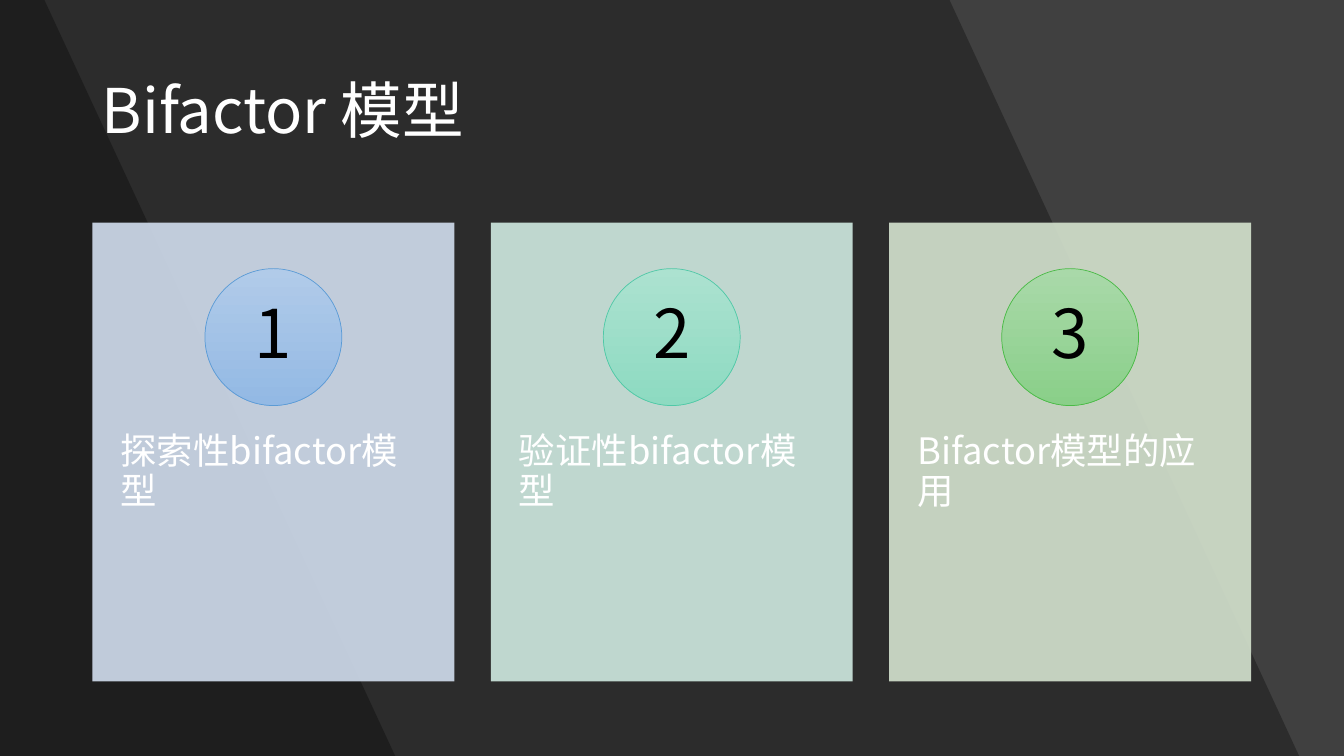
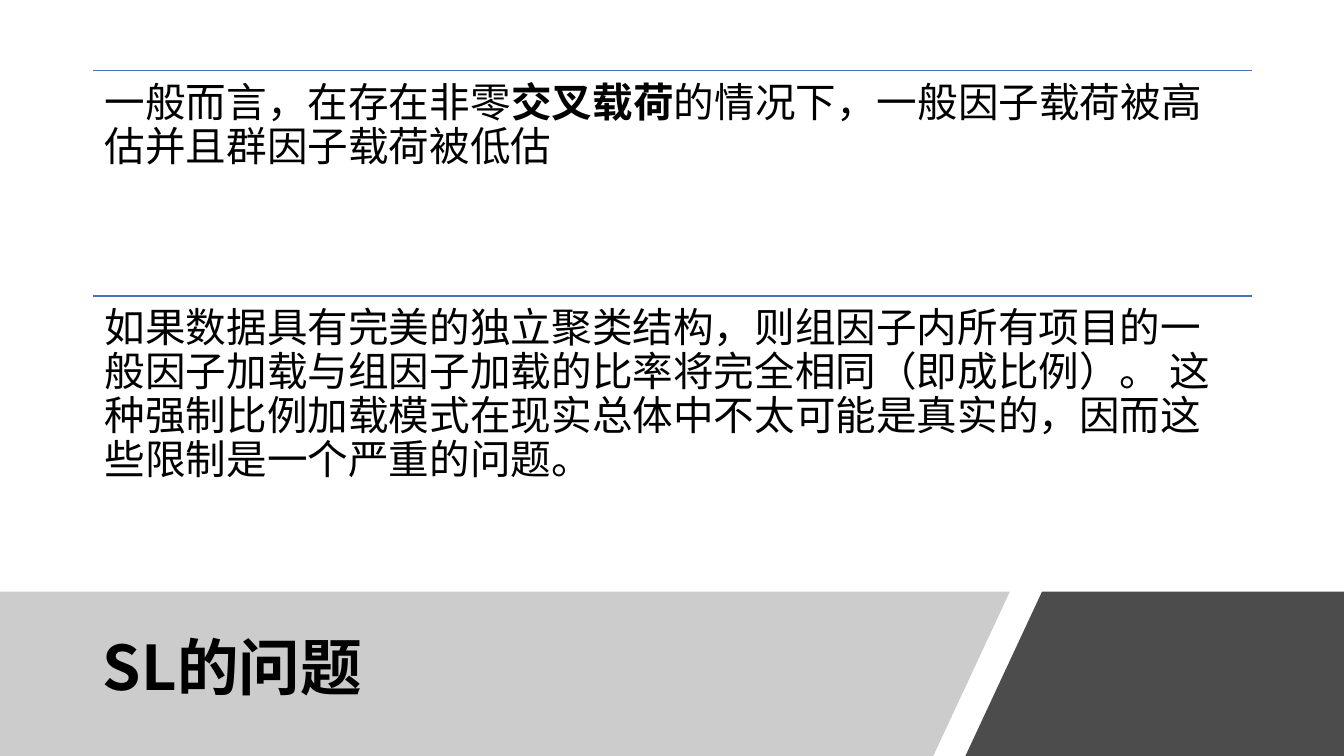
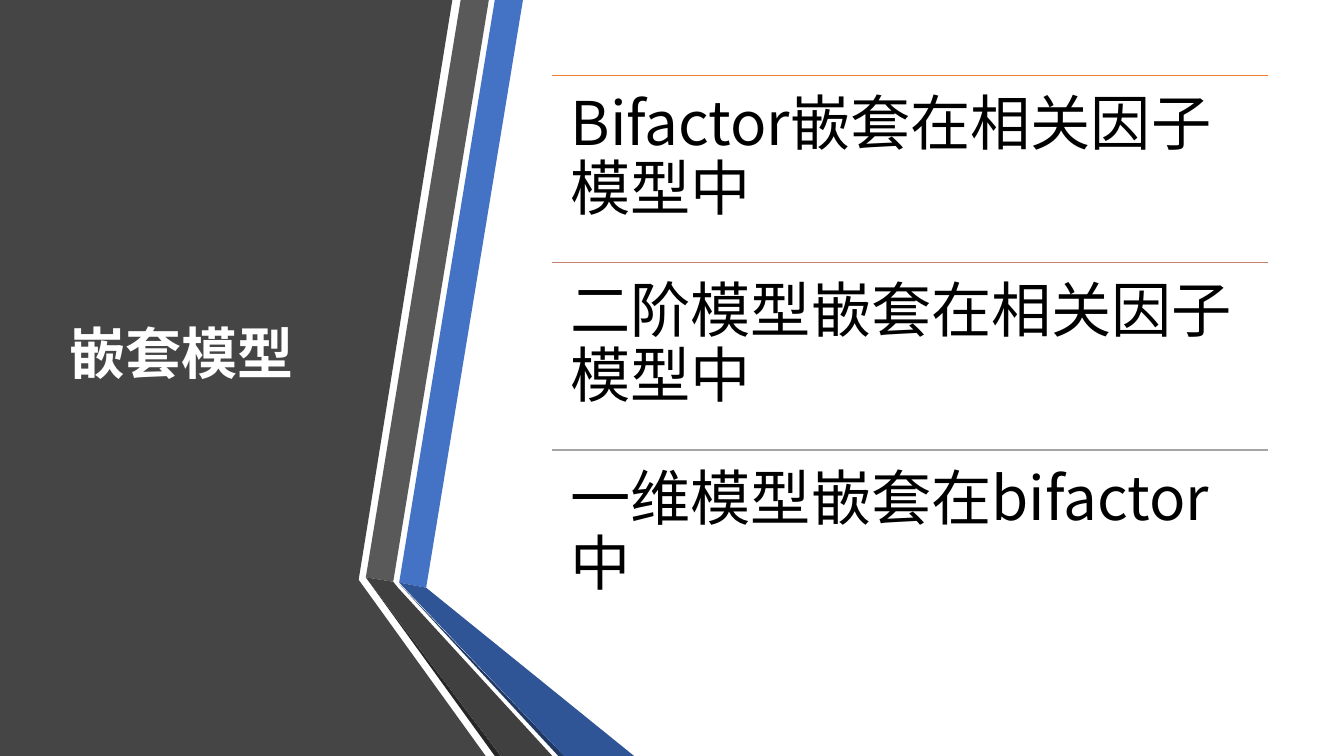
from lxml import etree
from pptx import Presentation
from pptx.dml.color import RGBColor
from pptx.enum import lang, shapes, text
from pptx.oxml import ns
from pptx.util import Cm, Pt

# Shared look
FONT = "Noto Sans CJK SC"
WIDTH, HEIGHT = 33.87, 19.05
BLACK, WHITE, BLUE = "000000", "FFFFFF", "4472C4"
LEFT, MIDDLE = text.PP_ALIGN.LEFT, text.MSO_ANCHOR.MIDDLE


def rgb(value):
    return RGBColor.from_string(value)


def fill_solid(shape, color, opacity=100):
    shape.fill.solid()
    shape.fill.fore_color.rgb = rgb(color)
    if opacity < 100:
        clr = shape.fill._xPr.find(".//" + ns.qn("a:srgbClr"))
        etree.SubElement(clr, ns.qn("a:alpha"), val=str(opacity * 1000))


def fill_gradient(shape, top, bottom):
    shape.fill.gradient()
    shape.fill.gradient_angle = 270
    for stop, color in zip(shape.fill.gradient_stops, (top, bottom)):
        stop.color.rgb = rgb(color)


def write(tf, runs, size, color, align=LEFT):
    """Fill a text frame with one paragraph; runs are (text, bold) pairs."""
    tf.word_wrap = True
    tf.auto_size = text.MSO_AUTO_SIZE.NONE
    p = tf.paragraphs[0]
    p.alignment, p.line_spacing = align, 0.9
    for words, bold in runs:
        r = p.add_run()
        r.text = words
        r.font.name, r.font.size, r.font.bold = FONT, Pt(size), bold
        r.font.color.rgb = rgb(color)
        r.font.language_id = lang.MSO_LANGUAGE_ID.SIMPLIFIED_CHINESE
        latin = r.font._element.find(ns.qn("a:latin"))
        latin.addnext(latin.makeelement(ns.qn("a:ea"), {"typeface": FONT}))


def add_slide(prs, background):
    s = prs.slides.add_slide(prs.slide_layouts[5])
    s.background.fill.solid()
    s.background.fill.fore_color.rgb = rgb(background)
    return s


def set_title(s, words, box, size, color, bold=False):
    title = s.shapes.title
    title.left, title.top, title.width, title.height = map(Cm, box)
    title.text_frame.vertical_anchor = MIDDLE
    write(title.text_frame, [(words, bold)], size, color)
    s.shapes._spTree.append(title._element)  # in front of the panels


def add_polygon(s, points, color, opacity=100):
    start, *rest = [(Cm(x), Cm(y)) for x, y in points]
    builder = s.shapes.build_freeform(*start)
    builder.add_line_segments(rest, close=True)
    sp = builder.convert_to_shape()
    sp.shadow.inherit = False
    fill_solid(sp, color, opacity)
    sp.line.fill.background()


def add_shape(s, kind, *box):
    sp = s.shapes.add_shape(kind, *map(Cm, box))
    sp.shadow.inherit = False
    return sp


def add_text(s, box, runs, size, color, inset_x, inset_y):
    tf = s.shapes.add_textbox(*map(Cm, box)).text_frame
    tf.margin_left = tf.margin_right = Cm(inset_x)
    tf.margin_top = tf.margin_bottom = Cm(inset_y)
    write(tf, runs, size, color)


def add_rule(s, x, y, width, color):
    line = s.shapes.add_connector(
        shapes.MSO_CONNECTOR.STRAIGHT, Cm(x), Cm(y), Cm(x + width), Cm(y))
    line.line.color.rgb = rgb(color)
    line.line.width = Pt(1)
    etree.SubElement(line._element.spPr, ns.qn("a:effectLst"))


def add_ruled_list(s, x, top, width, pitch, items, size, inset):
    """Stack equal rows, each a rule with text under it."""
    for i, (color, runs) in enumerate(items):
        y = top + i * pitch
        add_rule(s, x, y, width, color)
        add_text(s, (x, y, width, pitch), runs, size, BLACK, inset, inset)


def add_card(s, x, number, words, card, top, bottom, outline):
    width, disc = 9.12, 3.45
    panel = add_shape(s, shapes.MSO_SHAPE.RECTANGLE, x, 5.61, width, 11.56)
    fill_solid(panel, card, 90)
    panel.line.fill.background()
    add_text(s, (x, 10.01, width, 6.93), [(words, False)], 26, WHITE, 0.71, 0.91)
    badge = add_shape(s, shapes.MSO_SHAPE.OVAL,
                      x + (width - disc) / 2, 6.77, disc, disc)
    fill_gradient(badge, top, bottom)
    badge.line.color.rgb = rgb(outline)
    badge.line.width = Pt(0.5)
    badge.text_frame.vertical_anchor = MIDDLE
    write(badge.text_frame, [(str(number), False)], 48, BLACK,
          text.PP_ALIGN.CENTER)


def bifactor_slide(prs):
    s = add_slide(prs, "404040")
    # Slanted shades, darker towards the left
    for top_x, bottom_x in ((23.93, 32.74), (1.12, 9.96)):
        add_polygon(s, [(0, 0), (top_x, 0), (bottom_x, HEIGHT), (0, HEIGHT)],
                    BLACK, 30)
    set_title(s, "Bifactor 模型", (2.31, 1.02, 29.24, 3.68), 44, WHITE)
    # Numbered cards
    cards = [
        ("探索性bifactor模型", "D2DEEF", "B1CBE9", "93B9E4", "5B9BD5"),
        ("验证性bifactor模型", "D0EAE1", "ACE2D0", "8DDAC1", "50C8A7"),
        ("Bifactor模型的应用", "D5E3CF", "A9D9A9", "8ACF89", "4ABA46"),
    ]
    for i, card in enumerate(cards):
        add_card(s, 2.33 + i * 10.04, i + 1, *card)


def problem_slide(prs):
    s = add_slide(prs, WHITE)
    # Bottom band in two parts
    band = 14.91
    add_polygon(s, [(0, band), (25.45, band), (23.52, HEIGHT), (0, HEIGHT)],
                "808080", 40)
    add_polygon(s, [(26.26, band), (WIDTH, band), (WIDTH, HEIGHT),
                    (24.33, HEIGHT)], BLACK, 70)
    set_title(s, "SL的问题", (2.34, 15.37, 21.44, 3.05), 44, BLACK, True)
    items = [
        (BLUE, [("一般而言，在存在非零", False), ("交叉载荷", True),
                ("的情况下，一般因子载荷被高估并且群因子载荷被低估", False)]),
        (BLUE, [("如果数据具有完美的独立聚类结构，则组因子内所有项目的一般因子"
                 "加载与组因子加载的比率将完全相同（即成比例）。 这种强制比例加载"
                 "模式在现实总体中不太可能是真实的，因而这些限制是一个严重的问题。",
                 False)]),
    ]
    add_ruled_list(s, 2.34, 1.78, 29.21, 5.68, items, 29, 0.3)


def nested_slide(prs):
    s = add_slide(prs, WHITE)
    # Title panel and the folded ribbons beside it
    panels = [
        ("454545", [(0, 0), (11.4, 0), (9.04, 14.61), (12.24, HEIGHT),
                    (0, HEIGHT)]),
        (BLUE, [(10.06, 14.68), (10.74, 14.81), (13.18, 0), (12.47, 0)]),
        ("595959", [(12.32, 0), (11.61, 0), (9.22, 14.55), (9.91, 14.66)]),
        ("262626", [(9.22, 14.55), (12.47, HEIGHT), (12.62, HEIGHT)]),
        ("203864", [(10.06, 14.71), (14.07, HEIGHT), (14.22, HEIGHT)]),
        ("2F5597", [(10.06, 14.68), (14.22, HEIGHT), (15.98, HEIGHT),
                    (10.74, 14.81)]),
        ("404040", [(9.22, 14.55), (12.62, HEIGHT), (13.92, HEIGHT),
                    (10.03, 14.81), (9.91, 14.66)]),
    ]
    for color, points in panels:
        add_polygon(s, points, color)
    set_title(s, "嵌套模型", (1.5, 1.9, 7.72, 14.17), 40, WHITE, True)
    items = [
        ("ED7D31", [("Bifactor嵌套在相关因子模型中", False)]),
        ("C48170", [("二阶模型嵌套在相关因子模型中", False)]),
        ("A5A5A5", [("一维模型嵌套在bifactor中", False)]),
    ]
    add_ruled_list(s, 13.92, 1.9, 18.03, 4.72, items, 43, 0.46)


def main():
    prs = Presentation()
    prs.slide_width, prs.slide_height = Cm(WIDTH), Cm(HEIGHT)
    bifactor_slide(prs)
    problem_slide(prs)
    nested_slide(prs)
    prs.save("out.pptx")


if __name__ == "__main__":
    main()
